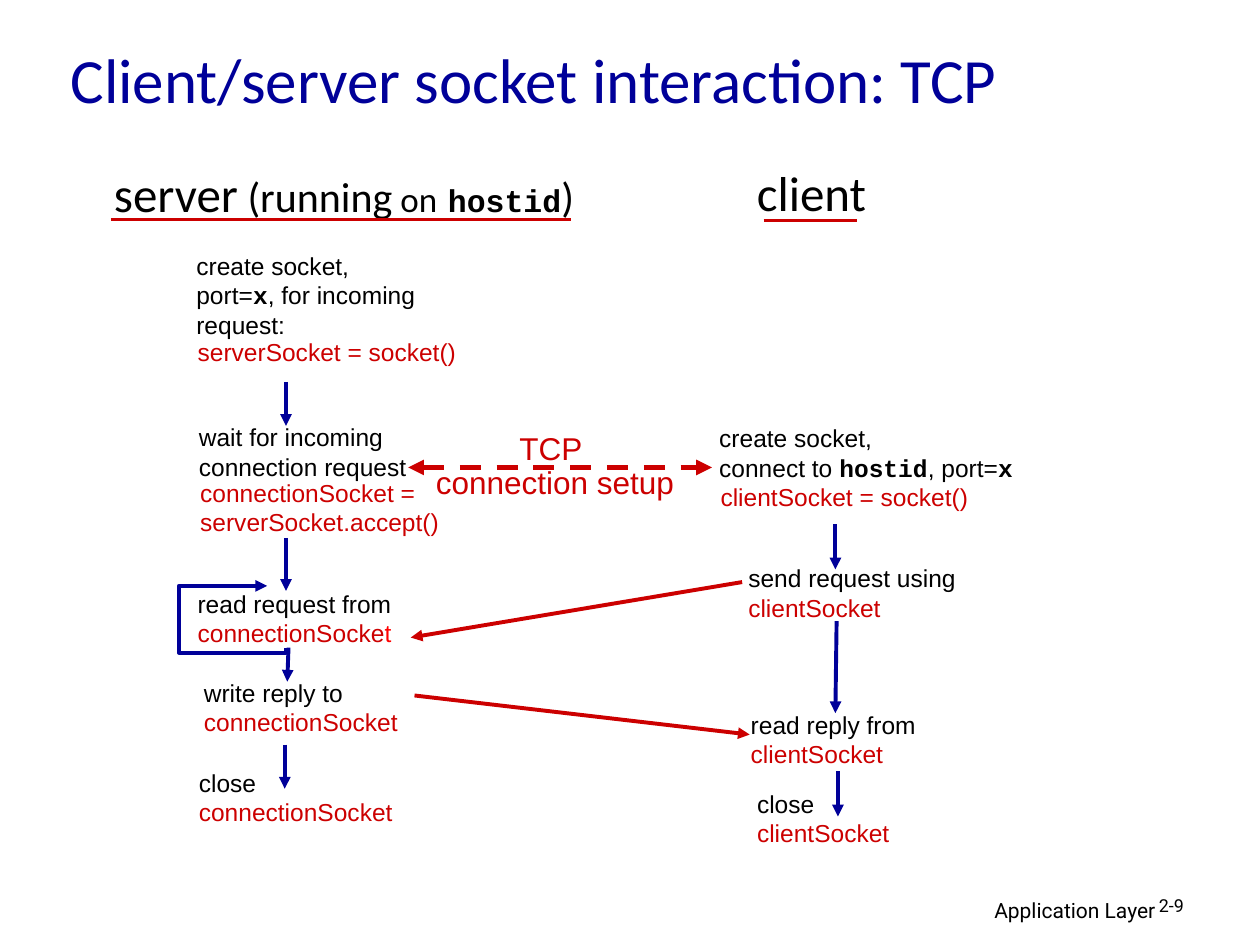
"""Build a slide on how a client and a server socket interact over TCP."""
from lxml.etree import SubElement
from pptx import Presentation
from pptx.dml.color import RGBColor as Rgb
from pptx.enum.dml import MSO_LINE as Dash
from pptx.enum.shapes import MSO_CONNECTOR as Conn
from pptx.enum.text import MSO_ANCHOR as Anchor, MSO_AUTO_SIZE as Fit, PP_ALIGN as Align
from pptx.oxml.ns import qn
from pptx.util import Inches, Pt

HUES = {"ink": "000000", "red": "CC0000", "hot": "FF0000", "blue": "000099"}
STYLES = {
    "ink": ("Arial", 14, "ink"), "red": ("Arial", 14, "red"), "hot": ("Arial", 14, "hot"),
    "mono": ("Courier New", 14, "ink"), "host": ("Courier New", 18, "ink"),
    "gap": ("Comic Neue", 18, "ink"), "setup": ("Arial", 18, "red"),
    "title": ("Calibri", 36, "blue"), "head": ("Calibri", 28, "ink"),
    "run": ("Calibri", 24, "ink"), "on": ("Calibri", 20, "ink"),
    "foot": ("Roboto", 12, "ink"), "page": ("Roboto", 10.2, "ink"),
}
BOLD = ("mono", "host")
ROW = 0.57
ONE = 0.34

TITLE = [[("Client/server socket interaction: TCP", "title")]]
SERVER = [[("server", "head"), (" (running", "run"), (" on", "on"), (" ", "gap"),
           ("hostid", "host"), (")", "run")]]
CREATE = [[("create socket,", "ink")],
          [("port=", "ink"), ("x", "mono"), (", for incoming request:", "ink")]]
JOIN = [[("create socket,", "ink")],
        [("connect to ", "ink"), ("hostid", "mono"), (", port=", "ink"), ("x", "mono")]]
SETUP = [[("TCP ", "setup")], [("connection setup", "setup")]]
STEPS = [
    (1.48, 3.3, 1.85, [("wait for incoming", "ink")], [("connection request", "ink")]),
    (1.49, 3.74, 2.15, [("connectionSocket =", "red")], [("serverSocket.accept()", "red")]),
    (1.47, 4.62, 1.74, [("read request from", "ink")],
     [("connectionSocke", "red"), ("t", "hot")]),
    (1.52, 5.33, 1.74, [("write reply to", "ink")], [("connectionSocket", "red")]),
    (1.48, 6.04, 1.74, [("close", "ink")], [("connectionSocket", "red")]),
    (5.84, 4.42, 1.85, [("send request using", "ink")], [("clientSocket", "red")]),
    (5.86, 5.58, 1.51, [("read reply from", "ink")], [("clientSocket", "red")]),
    (5.91, 6.21, 1.25, [("close", "ink")], [("clientSocket", "red")]),
]
FLOWS = [
    (2.27, 3.03, 2.27, 3.38), (2.27, 4.27, 2.27, 4.69), (2.29, 5.14, 2.28, 5.41),
    (2.26, 5.91, 2.26, 6.26), (6.63, 4.16, 6.63, 4.52), (6.64, 4.93, 6.63, 5.66),
    (6.65, 6.12, 6.65, 6.48),
]
SENDS = [(5.89, 4.62, 3.26, 5.06), (3.29, 5.52, 5.95, 5.83)]
RULES = [(0.88, 1.74, 4.53, 1.74), (6.06, 1.75, 6.8, 1.75)]
LOOP = [(2.27, 5.14), (2.27, 5.18), (1.42, 5.18), (1.42, 4.65), (2.12, 4.65)]

deck = Presentation()
deck.slide_width, deck.slide_height = Inches(10), Inches(7.5)
slide = deck.slides.add_slide(deck.slide_layouts[5])
shapes = slide.shapes


def put_text(at, paras, box=None, wrap=True, grow=True, align=Align.LEFT,
             anchor=Anchor.MIDDLE, before=0, lead=None):
    spot = [Inches(n) for n in at]
    box = box or shapes.add_textbox(*spot)
    box.left, box.top, box.width, box.height = spot
    frame = box.text_frame
    frame.word_wrap = wrap
    frame.auto_size = Fit.SHAPE_TO_FIT_TEXT if grow else Fit.NONE
    frame.vertical_anchor = anchor
    for i, runs in enumerate(paras):
        para = frame.add_paragraph() if i else frame.paragraphs[0]
        para.alignment = align
        para.space_before = Pt(before)
        if lead:
            para.line_spacing = lead
        for words, style in runs:
            run = para.add_run()
            run.text = words
            face, size, hue = STYLES[style]
            run.font.name, run.font.size = face, Pt(size)
            run.font.bold = style in BOLD
            run.font.color.rgb = Rgb.from_string(HUES[hue])


def paint(shape, hue, width, ends=("tailEnd",), dash=None):
    shape.line.color.rgb = Rgb.from_string(HUES[hue])
    shape.line.width = Pt(width)
    if dash:
        shape.line.dash_style = dash
    props = shape.line._get_or_add_ln()
    for end in ends:
        SubElement(props, qn("a:" + end), type="triangle")


def draw(pts, hue, width=2.25, **look):
    line = shapes.add_connector(Conn.STRAIGHT, *[Inches(n) for n in pts])
    paint(line, hue, width, **look)
    SubElement(line._element.spPr, qn("a:effectLst"))


put_text((0.46, 0.1, 8.5, 1.04), TITLE, box=shapes.title, grow=False)
put_text((6.1, 7.07, 3.17, 0.31), [[("Application Layer", "foot")]], grow=False,
         align=Align.RIGHT, anchor=Anchor.TOP)
put_text((9.1, 7.07, 0.74, 0.3), [[("2-9", "page")]], grow=False,
         anchor=Anchor.TOP, lead=0.9)
put_text((0.59, 1.25, 4.28, ROW), SERVER, wrap=False, align=Align.CENTER, before=15)
put_text((5.85, 1.24, 1.18, ROW), [[("client", "head")]], wrap=False,
         align=Align.CENTER, before=17.5)
put_text((1.46, 1.94, 2.11, 0.8), CREATE)
put_text((1.47, 2.62, 2.57, ONE), [[("serverSocket = socket()", "red")]], before=3.5)
put_text((5.61, 3.31, 2.53, ROW), JOIN, wrap=False)
put_text((5.62, 3.77, 2.58, ONE), [[("clientSocket = socket()", "red")]])
for x, y, wide, *paras in STEPS:
    put_text((x, y, wide, ROW), paras, wrap=False)

for pts in FLOWS:
    draw(pts, "blue")
for pts in SENDS:
    draw(pts, "red")
for pts in RULES:
    draw(pts, "red", 1.5, ends=())
draw((3.24, 3.71, 5.65, 3.71), "red", 3, ends=("headEnd", "tailEnd"), dash=Dash.DASH)
put_text((3.36, 3.39, 2.09, 0.64), SETUP, wrap=False, align=Align.CENTER, lead=0.9)

start, *rest = [(Inches(x), Inches(y)) for x, y in LOOP]
pen = shapes.build_freeform(*start)
pen.add_line_segments(rest, close=False)
loop = pen.convert_to_shape()
loop.shadow.inherit = False
loop.fill.background()
paint(loop, "blue", 2.25)

deck.save("out.pptx")
